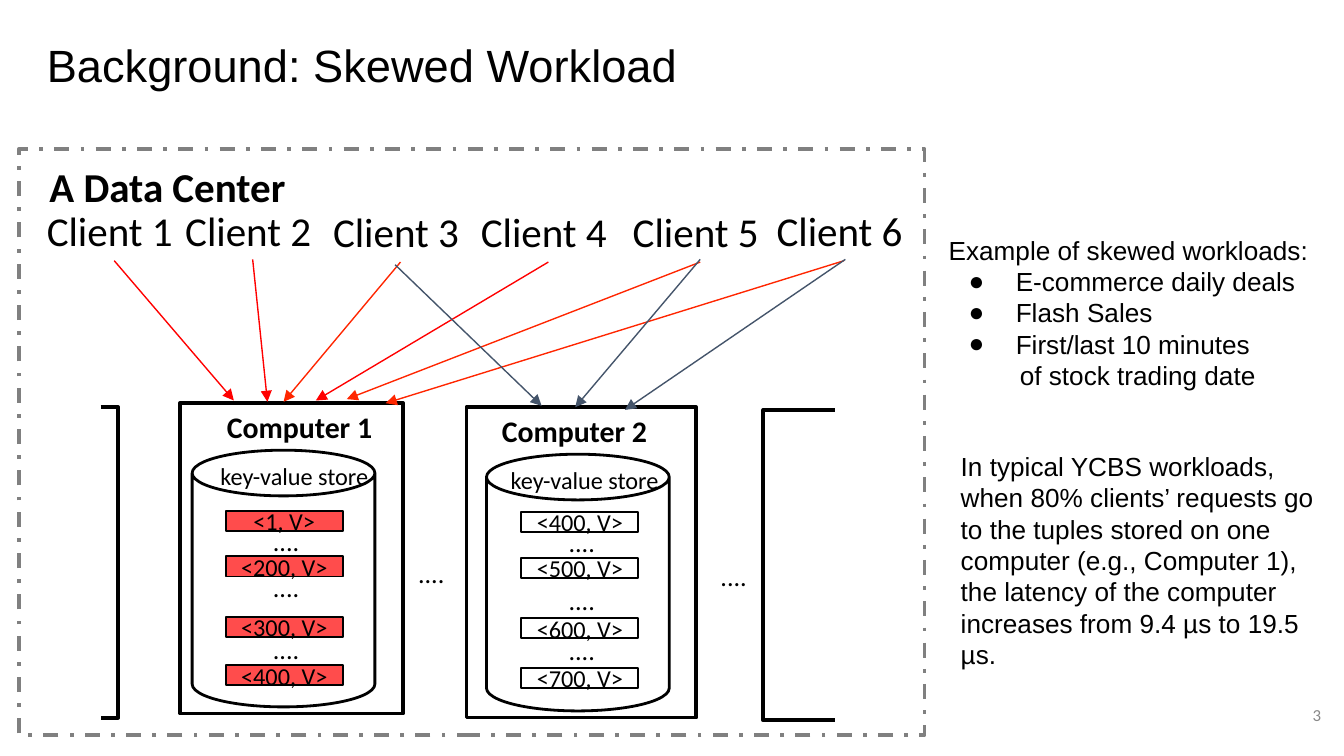
from dataclasses import dataclass

from lxml.etree import Element, SubElement
from pptx import Presentation
from pptx.dml.color import RGBColor
from pptx.enum.dml import MSO_LINE_DASH_STYLE as Dash
from pptx.enum.shapes import MSO_CONNECTOR as Connector, MSO_SHAPE as Shape
from pptx.enum.text import MSO_ANCHOR as Anchor, PP_ALIGN as Align
from pptx.oxml.ns import qn
from pptx.util import Emu, Pt

PX = 9144  # 100 px to the inch


@dataclass(frozen=True)
class Theme:
    sans: str = "Arial"
    diagram: str = "Calibri"
    ink: str = "000000"
    hot: str = "FF0000"
    warm: str = "FF2600"
    cool: str = "44546A"
    frame: str = "808080"
    muted: str = "888888"
    title: float = 24.2
    heading: int = 22
    computer: int = 16
    body: int = 14
    store: int = 13
    number: int = 9


THEME = Theme()


def px(*lengths):
    return [Emu(length * PX) for length in lengths]


def write(shape, lines, size, font=THEME.diagram, bold=False, color=THEME.ink,
          align=Align.LEFT, anchor=Anchor.TOP, inset=(4, 4)):
    frame = shape.text_frame
    frame.word_wrap = True
    frame.vertical_anchor = anchor
    frame.margin_left, frame.margin_top = px(*inset)
    frame.margin_right, frame.margin_bottom = px(*inset)
    for index, line in enumerate(lines):
        paragraph = frame.paragraphs[0] if index == 0 else frame.add_paragraph()
        paragraph.text = line
        paragraph.alignment = align
        paragraph.font.name = font
        paragraph.font.size = Pt(size)
        paragraph.font.bold = bold
        paragraph.font.color.rgb = RGBColor.from_string(color)
    return frame.paragraphs


def add_text(slide, box, lines, size, **style):
    return write(slide.shapes.add_textbox(*px(*box)), lines, size, **style)


def add_bullet(paragraph):
    properties = paragraph._p.get_or_add_pPr()
    properties.set("marL", str(50 * PX))
    properties.set("indent", str(-35 * PX))
    defaults = properties.find(qn("a:defRPr"))
    defaults.addprevious(Element(qn("a:buFont"), typeface=THEME.sans))
    defaults.addprevious(Element(qn("a:buChar"), char="●"))


def outline(shape, width, color=THEME.ink):
    shape.shadow.inherit = False
    shape.fill.background()
    shape.line.color.rgb = RGBColor.from_string(color)
    shape.line.width = Pt(width)
    return shape


def add_outline(slide, kind, box, width, color=THEME.ink):
    return outline(slide.shapes.add_shape(kind, *px(*box)), width, color)


def add_dots(slide, left, top):
    add_text(slide, (left, top, 58, 26), ["...."], THEME.body)


def add_arrow(slide, start, end, color):
    arrow = slide.shapes.add_connector(Connector.STRAIGHT, *px(*start, *end))
    arrow.line.color.rgb = RGBColor.from_string(color)
    arrow.line.width = Pt(0.75)
    SubElement(arrow.line._get_or_add_ln(), qn("a:tailEnd"), type="triangle")
    SubElement(arrow._element.spPr, qn("a:effectLst"))


def add_computer(slide, box, name, name_shift, store_left, label_left, tuple_left,
                 tuples, dots, hot=False):
    left, top, width, height = box
    add_outline(slide, Shape.RECTANGLE, box, 2)
    add_text(slide, (left + name_shift, top, width, 32), [name],
             THEME.computer, bold=True, align=Align.CENTER)

    # Key-value store
    add_outline(slide, Shape.CAN, (left + store_left, top + 35, 136, 191), 1.5)
    add_text(slide, (left + label_left, top + 39, 142, 27),
             ["key-value store"], THEME.store)

    # Stored tuples, with dots between them
    for key, offset in tuples:
        cell = add_outline(slide, Shape.RECTANGLE,
                           (left + tuple_left, top + offset, 87, 15), 1)
        if hot:
            cell.fill.solid()
            cell.fill.fore_color.rgb = RGBColor.from_string(THEME.hot)
            color = cell._element.spPr.find(qn("a:solidFill"))[0]
            SubElement(color, qn("a:alpha"), val="70000")
        write(cell, [f"<{key}, V>"], THEME.store, align=Align.CENTER,
              anchor=Anchor.MIDDLE, inset=(4, 0))
    for offset in dots:
        add_dots(slide, left + tuple_left + 31, top + offset)


def add_cut_computer(slide, box, open_left):
    """A computer of which only the side facing the centre shows."""
    left, top, width, height = box
    opening, wall = (left, left + width) if open_left else (left + width, left)
    builder = slide.shapes.build_freeform(opening, top, scale=PX)
    builder.add_line_segments(
        [(wall, top), (wall, top + height), (opening, top + height)], close=False)
    outline(builder.convert_to_shape(), 2)


def add_data_center(slide, box):
    left, top, width, height = box
    border = add_outline(slide, Shape.RECTANGLE, box, 2, THEME.frame)
    border.line.dash_style = Dash.DASH_DOT
    add_text(slide, (left + 13, top - 1, 200, 50), ["A Data Center"],
             THEME.heading, bold=True, inset=(10, 10))

    # Clients
    clients = [(11, 32), (114, 32), (224, 33), (334, 33), (447, 33), (554, 32)]
    for number, (x, y) in enumerate(clients, 1):
        add_text(slide, (left + x, top + y, 120, 50), [f"Client {number}"],
                 THEME.heading, inset=(10, 10))

    # Computers
    add_computer(slide, (left + 120, top + 189, 166, 231), "Computer 1", 6, 9, 26, 34,
                 [(1, 80), (200, 114), (300, 159), (400, 195)], [87, 121, 167],
                 hot=True)
    add_computer(slide, (left + 333, top + 192, 171, 231), "Computer 2", -5, 15, 29, 41,
                 [(400, 78), (500, 112), (600, 157), (700, 194)], [85, 128, 165])
    add_cut_computer(slide, (left + 61, top + 192, 13, 231), open_left=True)
    add_cut_computer(slide, (left + 554, top + 194, 53, 231), open_left=False)
    add_dots(slide, left + 293, top + 300)
    add_dots(slide, left + 518, top + 302)

    # Requests: start, end, colour
    requests = [
        ((71, 83), (160, 187), THEME.hot),
        ((174, 82), (185, 188), THEME.hot),
        ((284, 84), (197, 188), THEME.warm),
        ((394, 84), (221, 187), THEME.hot),
        ((507, 84), (244, 186), THEME.warm),
        ((614, 83), (273, 189), THEME.warm),
        ((280, 86), (389, 191), THEME.cool),
        ((507, 82), (414, 192), THEME.cool),
        ((615, 82), (451, 194), THEME.cool),
    ]
    for (x1, y1), (x2, y2), color in requests:
        add_arrow(slide, (left + x1, top + y1), (left + x2, top + y2), color)


def add_notes_column(slide, box):
    left, top, width, height = box
    style = dict(font=THEME.sans, inset=(10, 10))
    examples = ["Example of skewed workloads:", "E-commerce daily deals",
                "Flash Sales", "First/last 10 minutes", "of stock trading date"]
    paragraphs = add_text(slide, (left, top, width, 138), examples,
                          THEME.body, **style)
    for paragraph in paragraphs[1:4]:
        add_bullet(paragraph)
    paragraphs[4]._p.get_or_add_pPr().set("marL", str(53 * PX))

    add_text(slide, (left + 9, top + 161, 289, height - 161),
             ["In typical YCBS workloads, when 80% clients’ requests go to the "
              "tuples stored on one computer (e.g., Computer 1), the latency of "
              "the computer increases from 9.4 µs to 19.5 µs."],
             THEME.body, **style)


def main():
    presentation = Presentation()
    presentation.slide_width = Emu(1000 * PX)
    presentation.slide_height = Emu(presentation.slide_width * 9 // 16)
    slide = presentation.slides.add_slide(presentation.slide_layouts[6])

    add_text(slide, (25, 18, 932, 63), ["Background: Skewed Workload"],
             THEME.title, font=THEME.sans, inset=(10, 10))
    add_data_center(slide, (14, 111, 674, 436))
    add_notes_column(slide, (696, 164, 303, 345))
    add_text(slide, (950, 514, 37, 35), ["3"], THEME.number, color=THEME.muted,
             align=Align.RIGHT, anchor=Anchor.MIDDLE)

    presentation.save("out.pptx")


if __name__ == "__main__":
    main()
